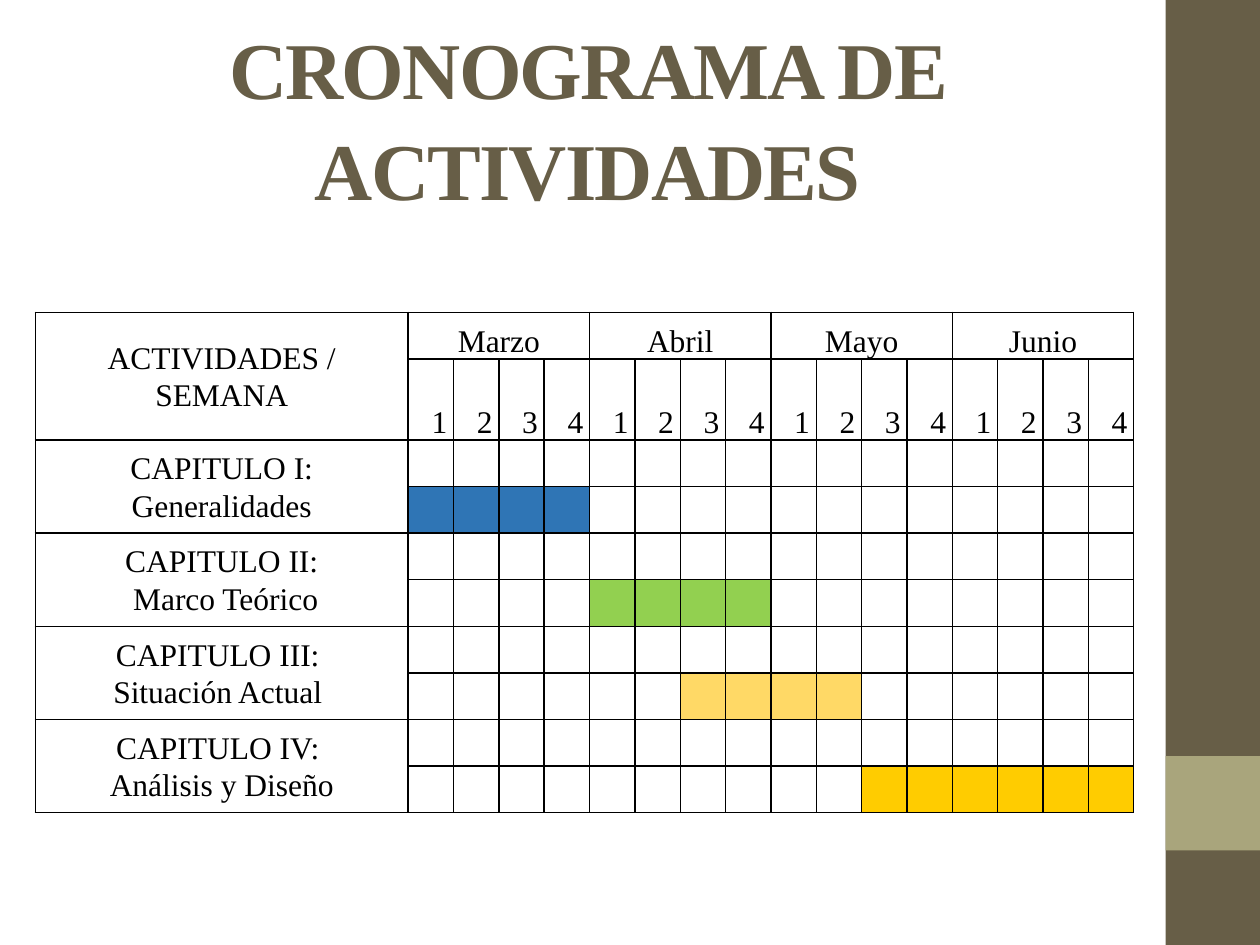
from pptx import Presentation
from pptx.dml.color import RGBColor
from pptx.enum.shapes import MSO_SHAPE as Preset
from pptx.enum.text import MSO_ANCHOR as Anchor, PP_ALIGN as Align
from pptx.oxml import parse_xml
from pptx.oxml.ns import nsdecls
from pptx.util import Inches, Pt

FONT = "Times New Roman"
COLORS = {
    "band": "675E47", "accent": "A9A57C", "ink": "000000",
    "blue": "2F75B5", "green": "92D050", "sand": "FFD966", "gold": "FFCC00",
}
TITLE = "CRONOGRAMA DE ACTIVIDADES"
CORNER = "ACTIVIDADES / SEMANA"
MONTHS = ["Marzo", "Abril", "Mayo", "Junio"]
WEEKS = 4
CHAPTERS = [
    (["CAPITULO I: Generalidades"], 1, 4, "blue"),
    (["CAPITULO II:", " Marco Teórico"], 5, 8, "green"),
    (["CAPITULO III: ", "Situación Actual "], 7, 10, "sand"),
    (["CAPITULO IV: ", "Análisis y Diseño"], 11, 16, "gold"),
]
LABEL_WIDTH, WEEK_WIDTH = 2.96, 0.36
ROW_HEIGHT, WEEK_ROW_HEIGHT = 0.37, 0.59


def rgb(name):
    return RGBColor.from_string(COLORS[name])


def add_band(page, left, top, width, height, color):
    band = page.shapes.add_shape(Preset.RECTANGLE, left, top, width, height)
    band.shadow.inherit = False
    band.fill.solid()
    band.fill.fore_color.rgb = rgb(color)
    band.line.fill.background()


def add_span(para, text, size, color):
    span = para.add_run()
    span.text = text
    span.font.name = FONT
    span.font.size = Pt(size)
    span.font.color.rgb = rgb(color)
    return span


def add_title(page):
    box = page.shapes.add_textbox(Inches(0.5), Inches(0.29), Inches(8.33), Inches(1.25))
    frame = box.text_frame
    frame.word_wrap = True
    frame.vertical_anchor = Anchor.MIDDLE
    para = frame.paragraphs[0]
    para.alignment = Align.CENTER
    para.line_spacing = 1.05
    span = add_span(para, TITLE, 46, "band")
    span.font.bold = True
    span.font._element.set("spc", "-100")


def style_cell(cell):
    cell.margin_left = cell.margin_right = Inches(0.05)
    cell.margin_top = cell.margin_bottom = 0
    props = cell._tc.get_or_add_tcPr()
    for side in ("lnL", "lnR", "lnT", "lnB"):
        props.append(parse_xml(
            f'<a:{side} {nsdecls("a")} w="{Pt(1)}"><a:solidFill>'
            f'<a:srgbClr val="{COLORS["ink"]}"/></a:solidFill></a:{side}>'))
    cell.fill.background()


def write_cell(cell, lines, align=Align.CENTER, anchor=Anchor.BOTTOM):
    cell.vertical_anchor = anchor
    frame = cell.text_frame
    for index, line in enumerate(lines):
        para = frame.add_paragraph() if index else frame.paragraphs[0]
        para.alignment = align
        para.line_spacing = 1.07
        add_span(para, line, 18, "ink")


def add_schedule(page):
    week_count = WEEKS * len(MONTHS)
    row_count = 2 + 2 * len(CHAPTERS)
    width = LABEL_WIDTH + WEEK_WIDTH * week_count
    height = ROW_HEIGHT * (row_count - 1) + WEEK_ROW_HEIGHT
    holder = page.shapes.add_table(row_count, week_count + 1, Inches(0.28),
                                   Inches(2.48), Inches(width), Inches(height))
    table = holder.table
    table.first_row = table.horz_banding = False
    for index, column in enumerate(table.columns):
        column.width = Inches(WEEK_WIDTH if index else LABEL_WIDTH)
    for index, row in enumerate(table.rows):
        row.height = Inches(WEEK_ROW_HEIGHT if index == 1 else ROW_HEIGHT)
    for cell in table.iter_cells():
        style_cell(cell)

    labels = [[CORNER]] + [chapter[0] for chapter in CHAPTERS]
    for index, lines in enumerate(labels):
        top = 2 * index
        table.cell(top, 0).merge(table.cell(top + 1, 0))
        write_cell(table.cell(top, 0), lines, anchor=Anchor.MIDDLE)
    for index, month in enumerate(MONTHS):
        first = 1 + WEEKS * index
        table.cell(0, first).merge(table.cell(0, first + WEEKS - 1))
        write_cell(table.cell(0, first), [month])
        for week in range(WEEKS):
            write_cell(table.cell(1, first + week), [str(week + 1)], Align.RIGHT)
    for index, (_, start, end, color) in enumerate(CHAPTERS):
        for week in range(start, end + 1):
            fill = table.cell(3 + 2 * index, week).fill
            fill.solid()
            fill.fore_color.rgb = rgb(color)


def main():
    deck = Presentation()
    deck.slide_width, deck.slide_height = Inches(10), Inches(7.5)
    page = deck.slides.add_slide(deck.slide_layouts[6])
    side = int(deck.slide_width * 0.075)
    left = deck.slide_width - side
    add_band(page, left, 0, side, deck.slide_height, "band")
    add_band(page, left, int(deck.slide_height * 0.8), side, side, "accent")
    add_title(page)
    add_schedule(page)
    deck.save("out.pptx")


if __name__ == "__main__":
    main()
